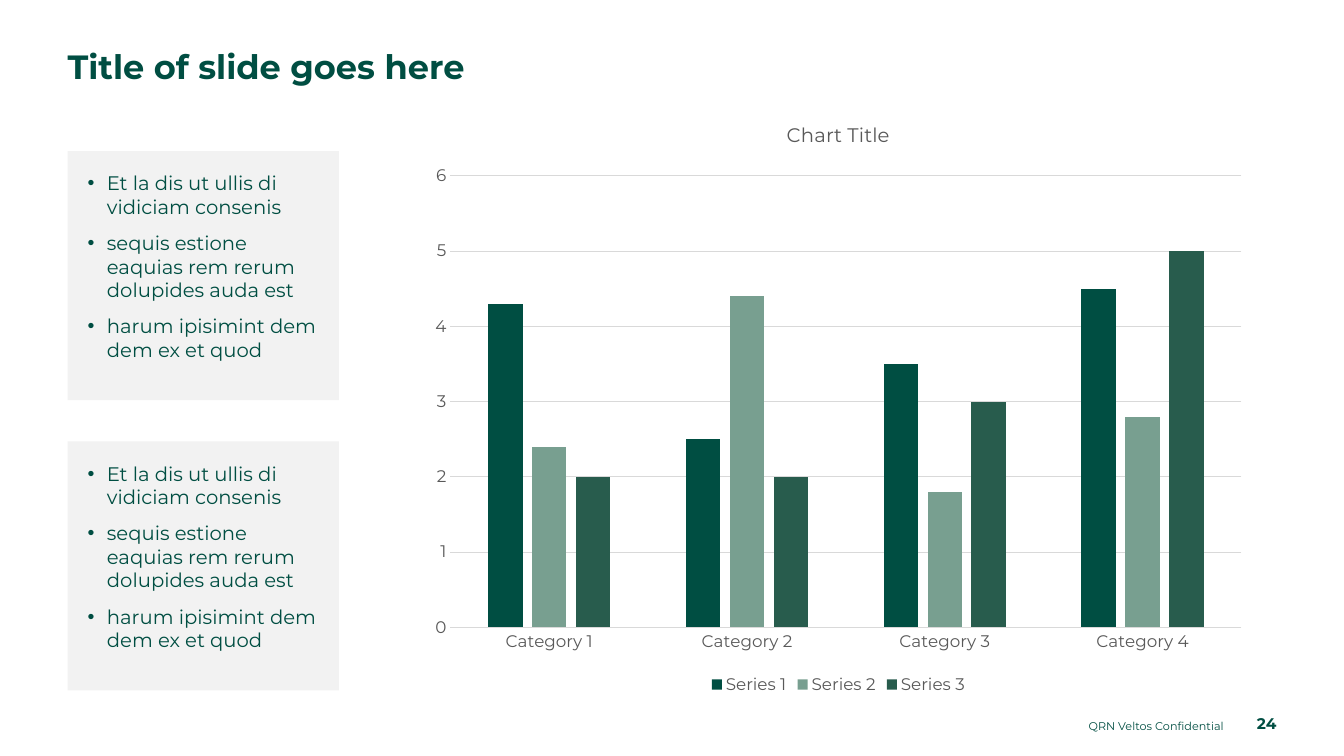
from dataclasses import dataclass

from lxml import etree
from pptx import Presentation
from pptx.chart.data import CategoryChartData
from pptx.dml.color import RGBColor
from pptx.enum.chart import XL_CHART_TYPE as ChartType
from pptx.enum.chart import XL_LEGEND_POSITION as LegendPosition
from pptx.enum.chart import XL_TICK_MARK as TickMark
from pptx.enum.shapes import MSO_SHAPE as Shape
from pptx.enum.text import MSO_ANCHOR as Anchor
from pptx.enum.text import PP_ALIGN as Align
from pptx.oxml.ns import qn
from pptx.util import Inches, Pt


@dataclass(frozen=True)
class Theme:
    """Colours, font and type sizes of the slide."""
    font: str = "Montserrat"
    green: str = "004E42"
    panel: str = "F2F2F2"
    grey: str = "595959"
    grid: str = "D9D9D9"
    series: tuple = ("004E42", "789F90", "285C4D")
    title: int = 24
    body: int = 14
    axis: int = 12
    number: int = 11
    footer: int = 8


THEME = Theme()
BULLETS = (
    "Et la dis ut ullis di vidiciam consenis",
    "sequis estione eaquias rem rerum dolupides auda est",
    "harum ipisimint dem dem ex et quod",
)
CATEGORIES = [f"Category {number}" for number in range(1, 5)]
VALUES = ((4.3, 2.5, 3.5, 4.5), (2.4, 4.4, 1.8, 2.8), (2, 2, 3, 5))


def style_font(font, size, color, bold=False):
    """Apply the theme font with a size, colour and weight."""
    font.name = THEME.font
    font.size = Pt(size)
    font.bold = bold
    font.color.rgb = RGBColor.from_string(color)


def set_margins(frame, left=0, top=0, right=0, bottom=0):
    """Wrap the text and set its insets in inches."""
    frame.word_wrap = True
    frame.margin_left, frame.margin_top = Inches(left), Inches(top)
    frame.margin_right, frame.margin_bottom = Inches(right), Inches(bottom)


def add_label(page, text, place, size, bold=False, align=Align.LEFT, anchor=Anchor.TOP):
    """Add one line of green text and return its paragraph."""
    frame = page.shapes.add_textbox(*map(Inches, place)).text_frame
    set_margins(frame)
    frame.vertical_anchor = anchor
    frame.text = text
    para = frame.paragraphs[0]
    para.alignment = align
    style_font(para.runs[0].font, size, THEME.green, bold)
    return para


def add_bullet(para):
    """Give a paragraph a hanging green bullet."""
    props = para._p.get_or_add_pPr()
    props.set("marL", str(Inches(0.19)))
    props.set("indent", str(Inches(-0.19)))
    color = etree.SubElement(props, qn("a:buClr"))
    etree.SubElement(color, qn("a:srgbClr")).set("val", THEME.green)
    etree.SubElement(props, qn("a:buFont")).set("typeface", "Arial")
    etree.SubElement(props, qn("a:buChar")).set("char", "•")


def add_panel(page, top):
    """Add a grey panel with the bullet list."""
    box = page.shapes.add_shape(
        Shape.RECTANGLE, Inches(0.67), Inches(top), Inches(2.69), Inches(2.47))
    box.shadow.inherit = False
    box.fill.solid()
    box.fill.fore_color.rgb = RGBColor.from_string(THEME.panel)
    box.line.fill.background()
    frame = box.text_frame
    set_margins(frame, 0.2, 0.2, 0.2, 0.1)
    frame.vertical_anchor = Anchor.TOP
    frame.text = "\n".join(BULLETS)
    for index, para in enumerate(frame.paragraphs):
        add_bullet(para)
        para.alignment = Align.LEFT
        para.space_before = Pt(9 if index else 0)
        style_font(para.runs[0].font, THEME.body, THEME.green)


def style_line(line):
    """Draw a thin light grey chart line."""
    line.color.rgb = RGBColor.from_string(THEME.grid)
    line.width = Pt(0.75)


def style_axes(chart):
    """Format both axes and the gridlines."""
    for axis in (chart.category_axis, chart.value_axis):
        axis.major_tick_mark = axis.minor_tick_mark = TickMark.NONE
        style_font(axis.tick_labels.font, THEME.axis, THEME.grey)
    style_line(chart.category_axis.format.line)
    values = chart.value_axis
    values.minimum_scale, values.maximum_scale, values.major_unit = 0, 6, 1
    values.format.line.fill.background()
    values.has_major_gridlines = True
    style_line(values.major_gridlines.format.line)


def add_column_chart(page):
    """Add the clustered column chart with title and legend."""
    data = CategoryChartData()
    data.categories = CATEGORIES
    for number, values in enumerate(VALUES, 1):
        data.add_series(f"Series {number}", values)
    chart = page.shapes.add_chart(
        ChartType.COLUMN_CLUSTERED,
        Inches(4.15), Inches(1), Inches(8.33), Inches(5.93), data).chart
    style_font(chart.font, THEME.axis, THEME.grey)
    chart.has_title = True
    chart.chart_title.include_in_layout = False
    frame = chart.chart_title.text_frame
    frame.text = "Chart Title"
    style_font(frame.paragraphs[0].runs[0].font, THEME.body, THEME.grey)
    chart.has_legend = True
    chart.legend.position = LegendPosition.BOTTOM
    chart.legend.include_in_layout = False
    style_font(chart.legend.font, THEME.axis, THEME.grey)
    style_axes(chart)
    plot = chart.plots[0]
    plot.gap_width, plot.overlap, plot.vary_by_categories = 219, -27, False
    for series, color in zip(plot.series, THEME.series):
        series.format.fill.solid()
        series.format.fill.fore_color.rgb = RGBColor.from_string(color)


def main():
    """Build the slide and save it."""
    deck = Presentation()
    deck.slide_width, deck.slide_height = Inches(13.33), Inches(7.5)
    page = deck.slides.add_slide(deck.slide_layouts[6])
    add_column_chart(page)
    title = add_label(page, "Title of slide goes here", (0.67, 0.5, 12, 0.75), THEME.title, True)
    title.line_spacing = 0.9
    add_label(page, "24", (12.15, 7.1, 0.51, 0.17), THEME.number, True, Align.RIGHT, Anchor.BOTTOM)
    add_label(page, "QRN Veltos Confidential", (6.68, 7.1, 5.46, 0.17), THEME.footer,
              align=Align.RIGHT, anchor=Anchor.BOTTOM)
    for top in (1.5, 4.38):
        add_panel(page, top)
    deck.save("out.pptx")


if __name__ == "__main__":
    main()
